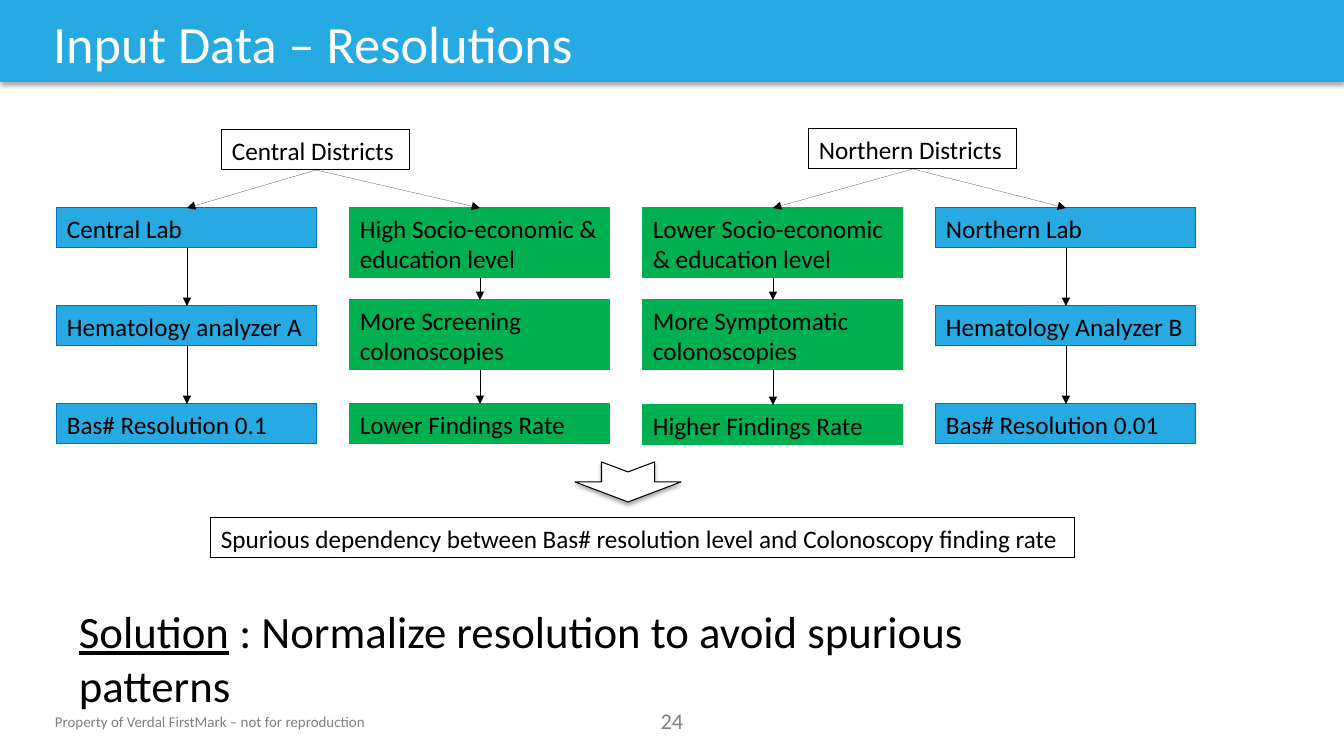
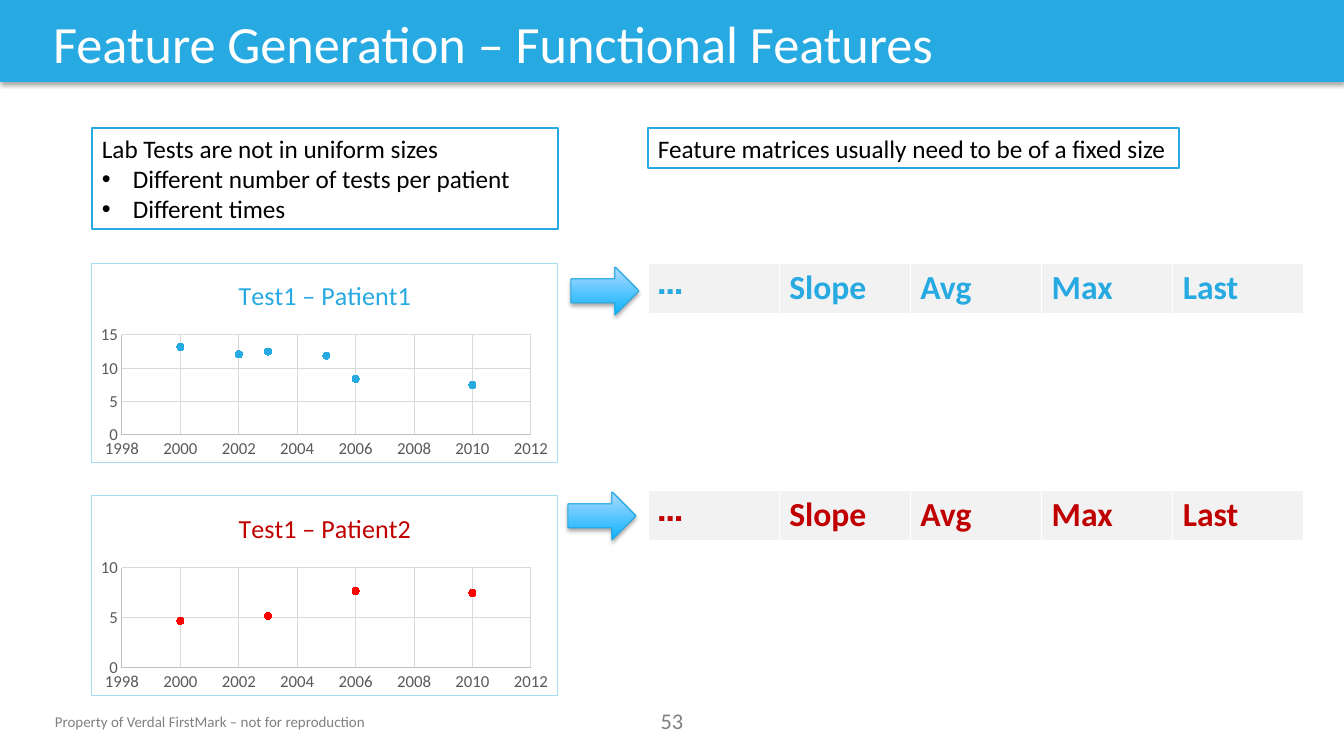
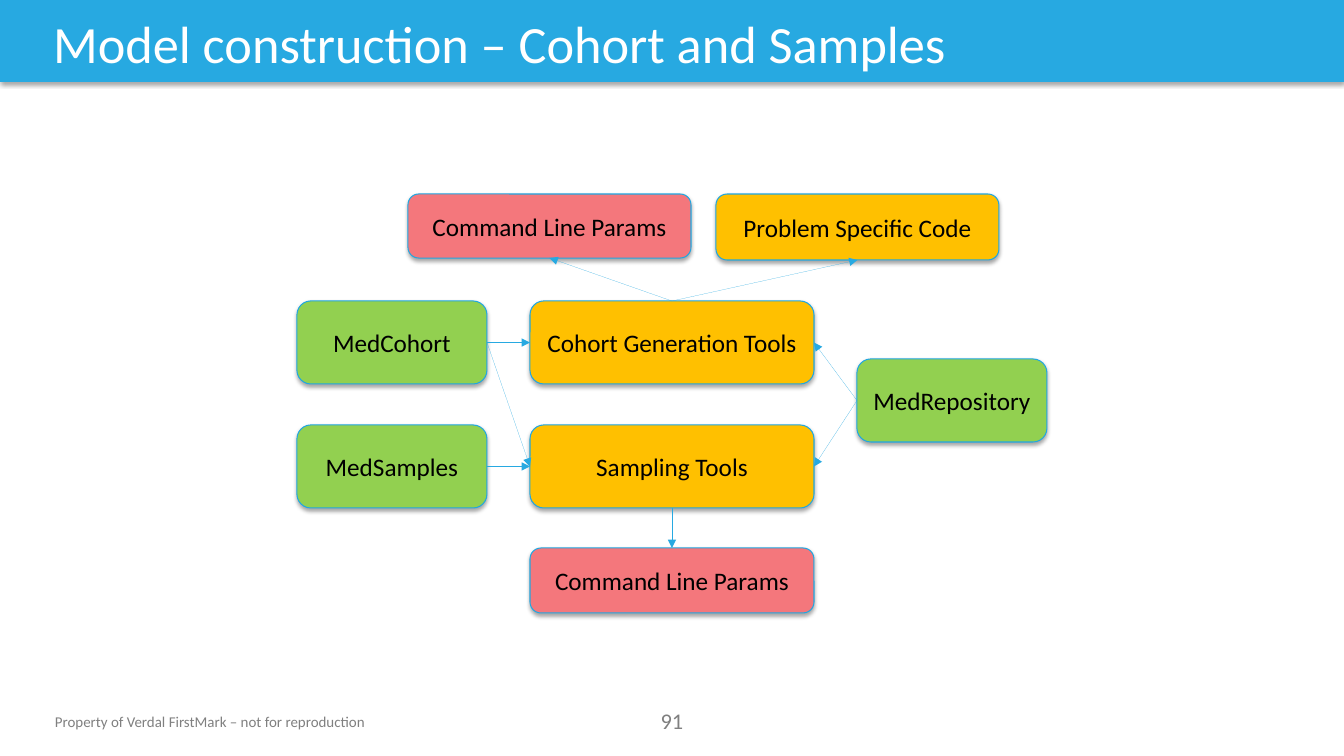
"""Build three slides on input data, functional features and cohort tools."""
from lxml.etree import SubElement
from pptx import Presentation
from pptx.chart.data import XyChartData
from pptx.dml.color import RGBColor
from pptx.enum.chart import XL_CHART_TYPE, XL_MARKER_STYLE, XL_TICK_MARK
from pptx.enum.shapes import MSO_CONNECTOR, MSO_SHAPE
from pptx.enum.text import MSO_ANCHOR, PP_ALIGN
from pptx.oxml import parse_xml
from pptx.oxml.ns import nsdecls, qn
from pptx.util import Pt

PX = 9072
FONT = "Calibri"
COLORS = {
    name: RGBColor.from_string(value)
    for name, value in {
        "blue": "27A9E1", "edge": "21A7E1", "navy": "0070C0", "green": "00B050",
        "lime": "92D050", "gold": "FFC000", "pink": "F4777C", "crimson": "C00000",
        "red": "FF0000", "black": "000000", "white": "FFFFFF", "gray": "808080",
        "label": "595959", "axis": "BFBFBF", "grid": "D9D9D9", "cell": "F2F2F2",
        "deep": "0BB3FC", "pale": "AEDAFF",
    }.items()
}


def add_box(s, kind, at, text="", fill=None, line=None, width=0, shadow=False,
            size=18, color="black", align=PP_ALIGN.LEFT, anchor=MSO_ANCHOR.TOP):
    """Add a preset shape, or a text box when kind is None."""
    place = [n * PX for n in at]
    sp = s.shapes.add_shape(kind, *place) if kind else s.shapes.add_textbox(*place)
    if fill:
        sp.fill.solid()
        sp.fill.fore_color.rgb = COLORS[fill]
    else:
        sp.fill.background()
    if line:
        sp.line.color.rgb = COLORS[line]
        sp.element.spPr.find(qn("a:ln")).set("w", str(int(Pt(width))))
    else:
        sp.line.fill.background()
    sp.shadow.inherit = False
    if shadow:
        effects = sp.element.spPr.find(qn("a:effectLst"))
        outer = SubElement(effects, qn("a:outerShdw"), blurRad="39370",
                           dist="22860", dir="5400000", rotWithShape="0")
        tone = SubElement(outer, qn("a:srgbClr"), val="000000")
        SubElement(tone, qn("a:alpha"), val="35000")
    tf = sp.text_frame
    tf.word_wrap = True
    tf.vertical_anchor = anchor
    if text:
        tf.text = text
    for p in tf.paragraphs:
        p.alignment = align
        for r in p.runs:
            r.font.name = FONT
            r.font.size = Pt(size)
            r.font.color.rgb = COLORS[color]
    return sp


def add_arrow(s, start, start_site, end, end_site, color):
    """Join two shapes with a straight hairline arrow."""
    cx = s.shapes.add_connector(MSO_CONNECTOR.STRAIGHT, 0, 0, 0, 0)
    cx.begin_connect(start, start_site)
    cx.end_connect(end, end_site)
    cx.line.color.rgb = COLORS[color]
    cx.element.remove(cx.element.find(qn("p:style")))
    SubElement(cx.element.spPr.find(qn("a:ln")), qn("a:tailEnd"), type="triangle")
    SubElement(cx.element.spPr, qn("a:effectLst"))


RECT, ROUND = MSO_SHAPE.RECTANGLE, MSO_SHAPE.ROUNDED_RECTANGLE
TOP, LEFT, BOTTOM, RIGHT = range(4)

prs = Presentation()
prs.slide_width, prs.slide_height = 1344 * PX, 756 * PX
layout = prs.slide_layouts[5]
for ph in list(layout.placeholders)[1:]:
    ph.element.getparent().remove(ph.element)

slides = []
for title, number in [
    ("Input Data – Resolutions", "24"),
    ("Feature Generation – Functional Features", "53"),
    ("Model construction – Cohort and Samples", "91"),
]:
    s = prs.slides.add_slide(layout)
    sp = s.shapes.title
    sp.left, sp.top, sp.width, sp.height = 43 * PX, 6 * PX, 1119 * PX, 74 * PX
    tf = sp.text_frame
    tf.text = title
    tf.vertical_anchor = MSO_ANCHOR.MIDDLE
    p = tf.paragraphs[0]
    p.alignment = PP_ALIGN.LEFT
    r = p.runs[0]
    r.font.name, r.font.size = FONT, Pt(37.4)
    r.font.color.rgb = COLORS["white"]
    if not slides:
        band = add_box(s, RECT, (0, 0, 1344, 82), fill="blue", shadow=True)
        footer = add_box(s, None, (45, 708, 340, 28),
                         "Property of Verdal FirstMark – not for reproduction",
                         size=10.7, color="gray")
        layout.shapes.element.insert(2, band.element)
        layout.shapes.element.insert(3, footer.element)
    add_box(s, None, (631, 702, 82, 37), number, size=16, color="gray",
            align=PP_ALIGN.CENTER)
    slides.append(s)

s = slides[0]
districts = [
    add_box(s, RECT, at, text, line="black")
    for at, text in [((222, 130, 188, 40), "Central Districts"),
                     ((809, 129, 208, 40), "Northern Districts")]
]
lab_rows = [(208, 40), (306, 40), (404, 40)]
social_rows = [(208, 70), (300, 70)]
columns = [
    ("blue", "navy", lab_rows,
     ["Central Lab", "Hematology analyzer A", "Bas# Resolution 0.1"]),
    ("green", "green", [*social_rows, (404, 40)],
     ["High Socio-economic & education level", "More Screening colonoscopies",
      "Lower Findings Rate"]),
    ("green", "green", [*social_rows, (405, 40)],
     ["Lower Socio-economic & education level", "More Symptomatic colonoscopies",
      "Higher Findings Rate"]),
    ("blue", "navy", lab_rows,
     ["Northern Lab", "Hematology Analyzer B", "Bas# Resolution 0.01"]),
]
for i, (fill, line, rows, texts) in enumerate(columns):
    above = districts[i // 2]
    for (y, h), text in zip(rows, texts):
        sp = add_box(s, RECT, (57 + 293 * i, y, 260, h), text, fill, line)
        add_arrow(s, above, BOTTOM, sp, TOP, "black")
        above = sp
add_box(s, RECT, (211, 518, 864, 40),
        "Spurious dependency between Bas# resolution level and Colonoscopy finding rate",
        line="black")
sp = add_box(s, MSO_SHAPE.NOTCHED_RIGHT_ARROW, (608, 429, 40, 106),
             fill="white", line="black", width=0.75, shadow=True)
sp.rotation = 90
sp = add_box(s, None, (69, 599, 1030, 118), "Solution", size=32)
p = sp.text_frame.paragraphs[0]
p.runs[0].font.underline = True
r = p.add_run()
r.text = " : Normalize resolution to avoid spurious patterns"
r.font.name, r.font.size = FONT, Pt(32)
r.font.color.rgb = COLORS["black"]

s = slides[1]
sp = add_box(s, RECT, (92, 128, 466, 101),
             "Lab Tests are not in uniform sizes\n"
             "Different number of tests per patient\nDifferent times",
             "white", "blue", 2)
for p in sp.text_frame.paragraphs[1:]:
    pPr = p._p.get_or_add_pPr()
    pPr.set("marL", str(31 * PX))
    pPr.set("indent", str(-31 * PX))
    SubElement(pPr, qn("a:buFont"), typeface="Arial")
    SubElement(pPr, qn("a:buChar"), char="•")
add_box(s, RECT, (648, 128, 531, 40),
        "Feature matrices usually need to be of a fixed size", "white", "blue", 2)

patients = [
    ("Test1 – Patient1", "blue", "blue", 15, 263, 263, (571, 267),
     [(2000, 13.2), (2002, 12.1), (2003, 12.5), (2005, 11.9), (2006, 8.4), (2010, 7.5)]),
    ("Test1 – Patient2", "crimson", "red", 10, 496, 490, (568, 492),
     [(2000, 4.7), (None, None), (2003, 5.2), (None, None), (2006, 7.7), (2010, 7.5)]),
]
for title, color, dot, top_value, chart_y, table_y, arrow_at, points in patients:
    data = XyChartData()
    series = data.add_series("Series 1")
    for x, y in points:
        series.add_data_point(x, y)
    chart = s.shapes.add_chart(XL_CHART_TYPE.XY_SCATTER, 92 * PX, chart_y * PX,
                               466 * PX, 200 * PX, data).chart
    for pt in list(chart.element.iter(qn("c:pt"))):
        if pt.find(qn("c:v")).text in (None, "", "None"):
            pt.getparent().remove(pt)
    chart.font.name, chart.font.size = FONT, Pt(10)
    chart.has_legend = False
    tf = chart.chart_title.text_frame
    tf.text = title
    r = tf.paragraphs[0].runs[0]
    r.font.name, r.font.size, r.font.bold = FONT, Pt(18.6), False
    r.font.color.rgb = COLORS[color]
    chart.plots[0].vary_by_categories = False
    series = chart.plots[0].series[0]
    series.format.line.fill.background()
    marker = series.marker
    marker.style, marker.size = XL_MARKER_STYLE.CIRCLE, 5
    marker.format.fill.solid()
    marker.format.fill.fore_color.rgb = COLORS[dot]
    marker.format.line.color.rgb = COLORS[dot]
    for axis, low, high, step in [(chart.category_axis, 1998, 2012, 2),
                                  (chart.value_axis, 0, top_value, 5)]:
        axis.minimum_scale, axis.maximum_scale, axis.major_unit = low, high, step
        axis.major_tick_mark = axis.minor_tick_mark = XL_TICK_MARK.NONE
        axis.has_major_gridlines = True
        font = axis.tick_labels.font
        font.name, font.size = FONT, Pt(12)
        font.color.rgb = COLORS["label"]
        for line, tone in [(axis.format.line, "axis"),
                           (axis.major_gridlines.format.line, "grid")]:
            line.color.rgb = COLORS[tone]
            line.width = Pt(0.75)
    plot_area = chart.element.find(".//" + qn("c:plotArea"))
    for old in plot_area.findall(qn("c:layout")):
        plot_area.remove(old)
    place = parse_xml(f"<c:layout {nsdecls('c')}><c:manualLayout/></c:layout>")
    for tag, val in [("layoutTarget", "inner"), ("xMode", "edge"), ("yMode", "edge"),
                     ("x", 30 / 466), ("y", 72 / 200), ("w", 409 / 466), ("h", 100 / 200)]:
        SubElement(place[0], qn("c:" + tag), val=str(val))
    plot_area.insert(0, place)
    chart.element.find(qn("c:chart")).addnext(parse_xml(
        f"<c:spPr {nsdecls('c', 'a')}>"
        f'<a:solidFill><a:srgbClr val="{COLORS["white"]}"/></a:solidFill>'
        f'<a:ln w="0"><a:solidFill><a:srgbClr val="{COLORS["blue"]}">'
        '<a:alpha val="40000"/></a:srgbClr></a:solidFill></a:ln></c:spPr>'))

    table = s.shapes.add_table(1, 5, 648 * PX, table_y * PX, 656 * PX, 41 * PX).table
    for cell, text in zip(table.rows[0].cells, ["…", "Slope", "Avg", "Max", "Last"]):
        cell.fill.solid()
        cell.fill.fore_color.rgb = COLORS["cell"]
        cell.text = text
        p = cell.text_frame.paragraphs[0]
        p.alignment = PP_ALIGN.LEFT
        p._p.get_or_add_pPr().set("rtl", "1")
        r = p.runs[0]
        r.font.name, r.font.size, r.font.bold = FONT, Pt(24), True
        r.font.color.rgb = COLORS[color]

    sp = add_box(s, MSO_SHAPE.RIGHT_ARROW, (*arrow_at, 68, 48),
                 line="edge", width=0.75, shadow=True)
    sp.fill.gradient()
    sp.fill.gradient_angle = 90
    for stop, tone in zip(sp.fill.gradient_stops, ["deep", "pale"]):
        stop.color.rgb = COLORS[tone]

s = slides[2]
nodes = {
    key: add_box(s, ROUND, at, text, fill, "edge", 0.75, True,
                 align=PP_ALIGN.CENTER, anchor=MSO_ANCHOR.MIDDLE)
    for key, text, fill, at in [
        ("repository", "MedRepository", "lime", (857, 359, 190, 83)),
        ("cohort", "MedCohort", "lime", (297, 301, 190, 83)),
        ("samples", "MedSamples", "lime", (297, 425, 190, 83)),
        ("generation", "Cohort Generation Tools", "gold", (530, 301, 284, 83)),
        ("sampling", "Sampling Tools", "gold", (530, 425, 284, 83)),
        ("cohort params", "Command Line Params", "pink", (408, 194, 283, 64)),
        ("code", "Problem Specific Code", "gold", (716, 194, 283, 66)),
        ("sampling params", "Command Line Params", "pink", (530, 548, 284, 65)),
    ]
}
for start, start_site, end, end_site in [
    ("cohort", RIGHT, "generation", LEFT),
    ("repository", LEFT, "generation", RIGHT),
    ("cohort", RIGHT, "sampling", LEFT),
    ("samples", RIGHT, "sampling", LEFT),
    ("repository", LEFT, "sampling", RIGHT),
    ("generation", TOP, "cohort params", BOTTOM),
    ("generation", TOP, "code", BOTTOM),
    ("sampling", BOTTOM, "sampling params", TOP),
]:
    add_arrow(s, nodes[start], start_site, nodes[end], end_site, "blue")

prs.save("out.pptx")
